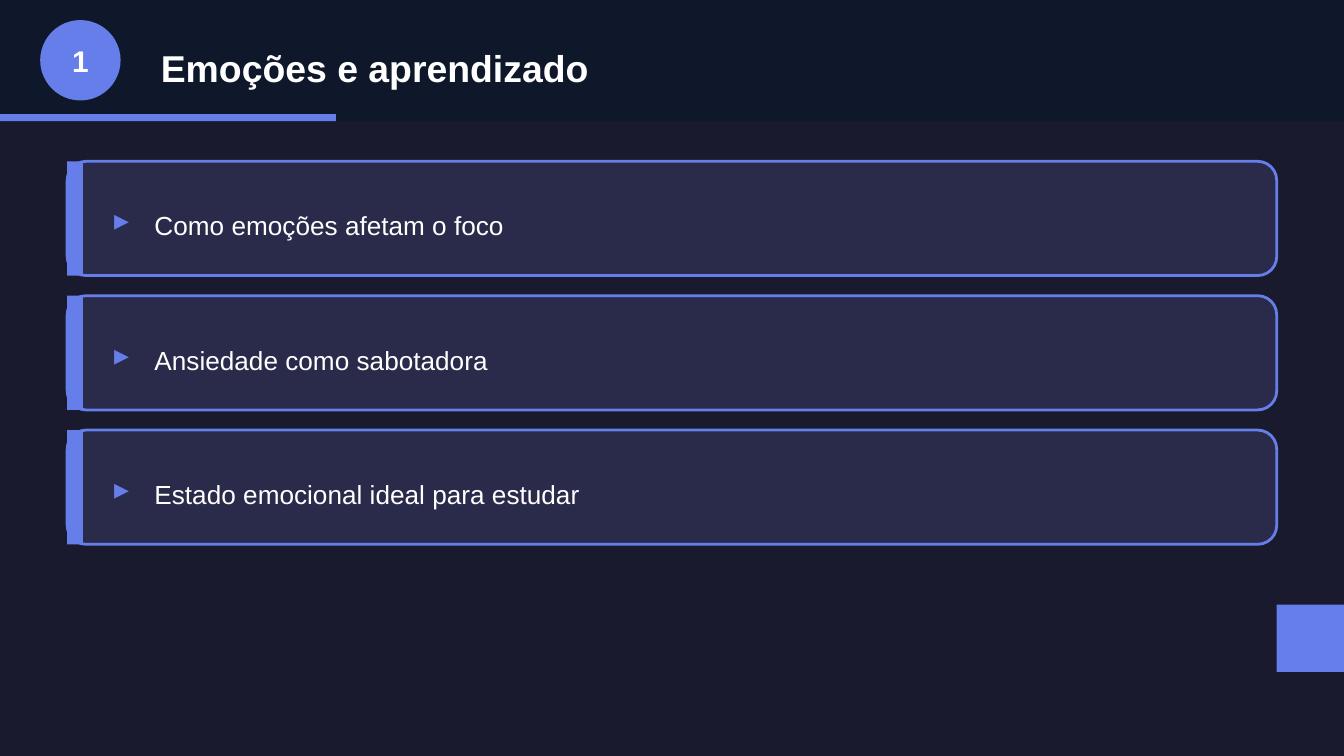
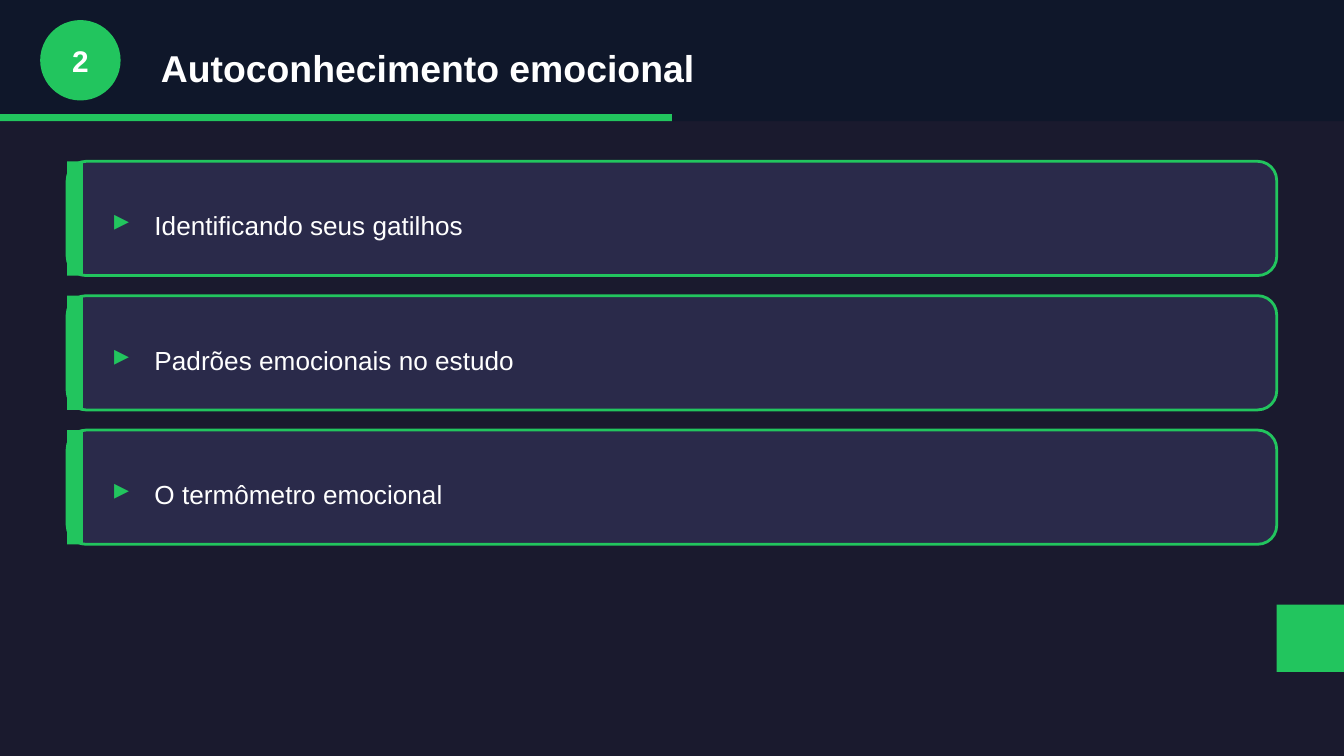
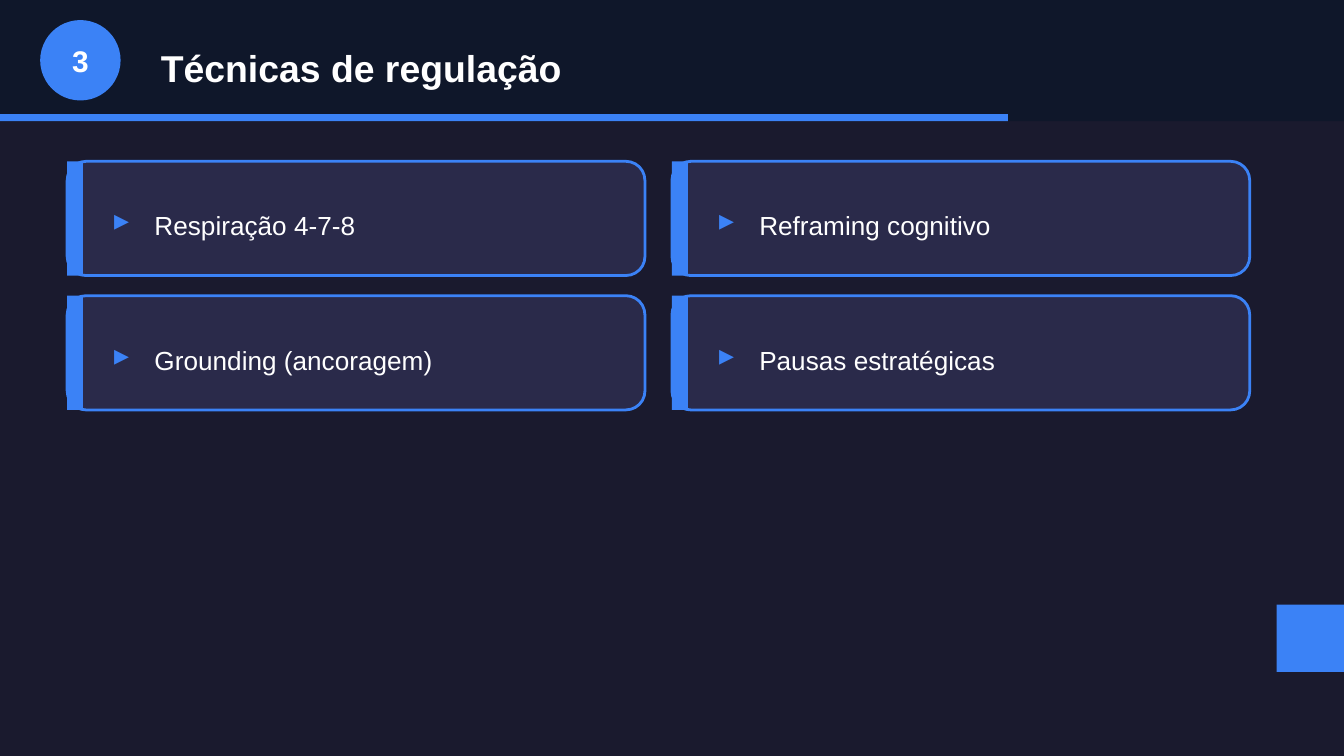
from dataclasses import dataclass

from pptx import Presentation
from pptx.dml.color import RGBColor as Rgb
from pptx.enum.shapes import MSO_SHAPE as Form
from pptx.enum.text import MSO_ANCHOR as Anchor, PP_ALIGN as Align
from pptx.util import Cm, Pt

TOPICS = [
    {
        "title": "Emoções e aprendizado",
        "hue": "667EEA",
        "cols": 1,
        "points": [
            "Como emoções afetam o foco",
            "Ansiedade como sabotadora",
            "Estado emocional ideal para estudar",
        ],
    },
    {
        "title": "Autoconhecimento emocional",
        "hue": "22C55E",
        "cols": 1,
        "points": [
            "Identificando seus gatilhos",
            "Padrões emocionais no estudo",
            "O termômetro emocional",
        ],
    },
    {
        "title": "Técnicas de regulação",
        "hue": "3B82F6",
        "cols": 2,
        "points": [
            "Respiração 4-7-8",
            "Reframing cognitivo",
            "Grounding (ancoragem)",
            "Pausas estratégicas",
        ],
    },
]


@dataclass(frozen=True)
class Theme:
    back: str = "1A1A2E"
    band: str = "0F172A"
    card: str = "2A2A4A"
    ink: str = "FFFFFF"
    font: str = "Arial"
    head: int = 20
    mark: int = 16
    body: int = 14
    edge: float = 1.5


THEME = Theme()
WIDE, HIGH = 25.4, 14.29
BAND, TRACK, STEPS = 2.29, 0.13, 4
LEFT, TOP = 1.27, 3.05
CARD_H, ROW = 2.16, 2.54
CARD_W = {1: 22.86, 2: 10.92}
COL = 11.43
STRIPE = 0.3


def draw(slide, form, x, y, w, h, fill, line=None):
    shape = slide.shapes.add_shape(form, Cm(x), Cm(y), Cm(w), Cm(h))
    shape.shadow.inherit = False
    shape.fill.solid()
    shape.fill.fore_color.rgb = Rgb.from_string(fill)
    if line:
        shape.line.color.rgb = Rgb.from_string(line)
        shape.line.width = Pt(THEME.edge)
    else:
        shape.line.fill.background()


def write(slide, text, x, y, w, h, size=THEME.body, hue=THEME.ink,
          bold=False, align=Align.LEFT):
    frame = slide.shapes.add_textbox(Cm(x), Cm(y), Cm(w), Cm(h)).text_frame
    frame.word_wrap = True
    frame.vertical_anchor = Anchor.MIDDLE
    para = frame.paragraphs[0]
    para.alignment = align
    run = para.add_run()
    run.text = text
    run.font.name = THEME.font
    run.font.size = Pt(size)
    run.font.bold = bold
    run.font.color.rgb = Rgb.from_string(hue)


def add_head(slide, num, title, hue):
    draw(slide, Form.RECTANGLE, 0, 0, WIDE, BAND, THEME.band)
    draw(slide, Form.RECTANGLE, 0, BAND - TRACK, WIDE * num / STEPS, TRACK, hue)
    draw(slide, Form.OVAL, 0.76, 0.38, 1.52, 1.52, hue)
    write(slide, str(num), 0.76, 0.64, 1.52, 1.02,
          size=THEME.mark, bold=True, align=Align.CENTER)
    write(slide, title, 2.79, 0.64, 21.59, 1.27, size=THEME.head, bold=True)


def add_card(slide, text, x, y, w, hue):
    draw(slide, Form.ROUNDED_RECTANGLE, x, y, w, CARD_H, THEME.card, line=hue)
    draw(slide, Form.RECTANGLE, x, y, STRIPE, CARD_H, hue)
    write(slide, "▸", x + 0.64, y + 0.64, 0.76, 0.89,
          size=THEME.mark, hue=hue, bold=True)
    write(slide, text, x + 1.4, y + 0.64, w - 2.03, 1.14)


def add_topic(deck, num, topic):
    slide = deck.slides.add_slide(deck.slide_layouts[6])
    slide.background.fill.solid()
    slide.background.fill.fore_color.rgb = Rgb.from_string(THEME.back)
    hue, cols = topic["hue"], topic["cols"]
    add_head(slide, num, topic["title"], hue)
    for i, text in enumerate(topic["points"]):
        row, col = divmod(i, cols)
        add_card(slide, text, LEFT + col * COL, TOP + row * ROW,
                 CARD_W[cols], hue)
    draw(slide, Form.RECTANGLE, WIDE - 1.27, 11.43, 1.27, 1.27, hue)


def main():
    deck = Presentation()
    deck.slide_width, deck.slide_height = Cm(WIDE), Cm(HIGH)
    for num, topic in enumerate(TOPICS, 1):
        add_topic(deck, num, topic)
    deck.save("out.pptx")


if __name__ == "__main__":
    main()
